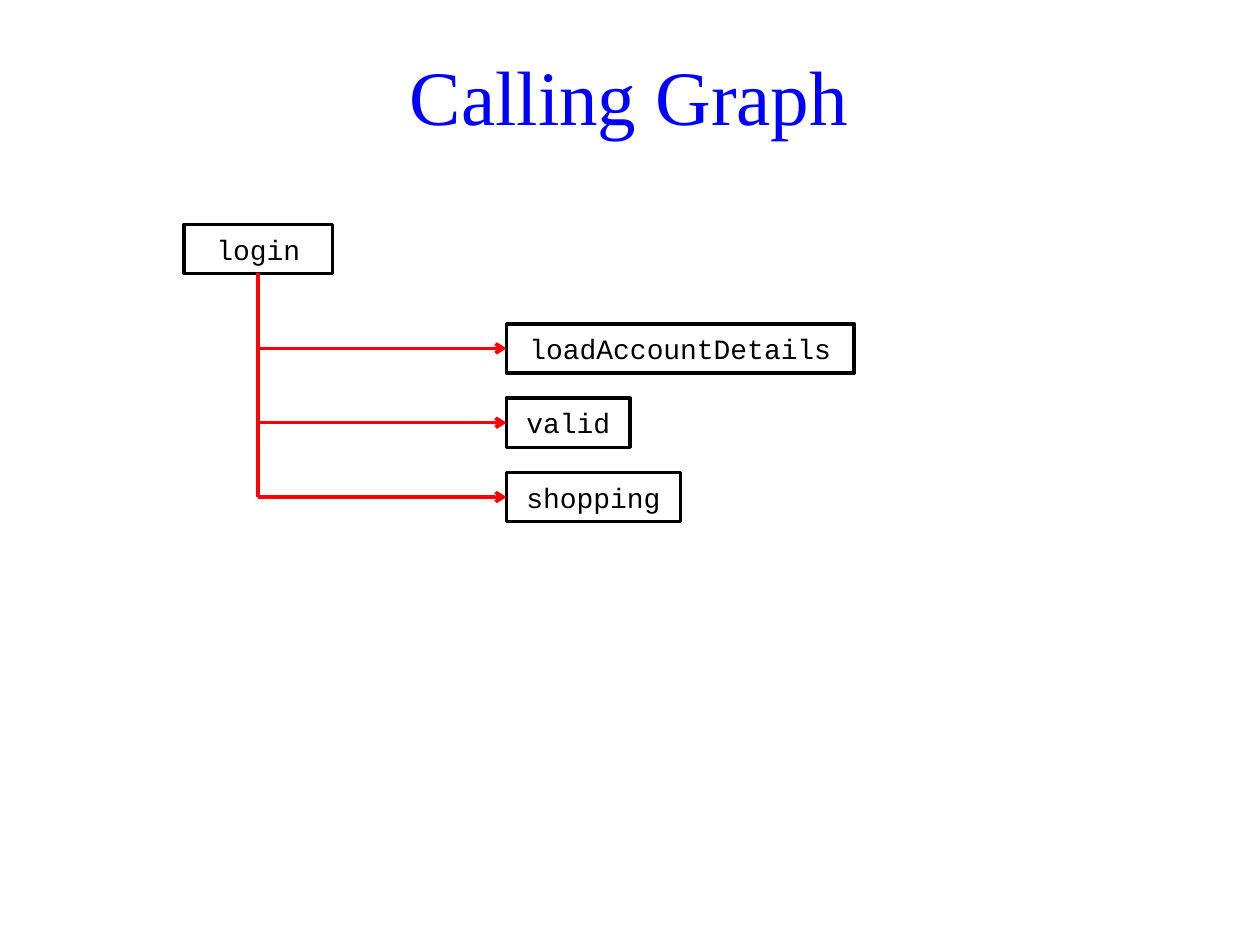
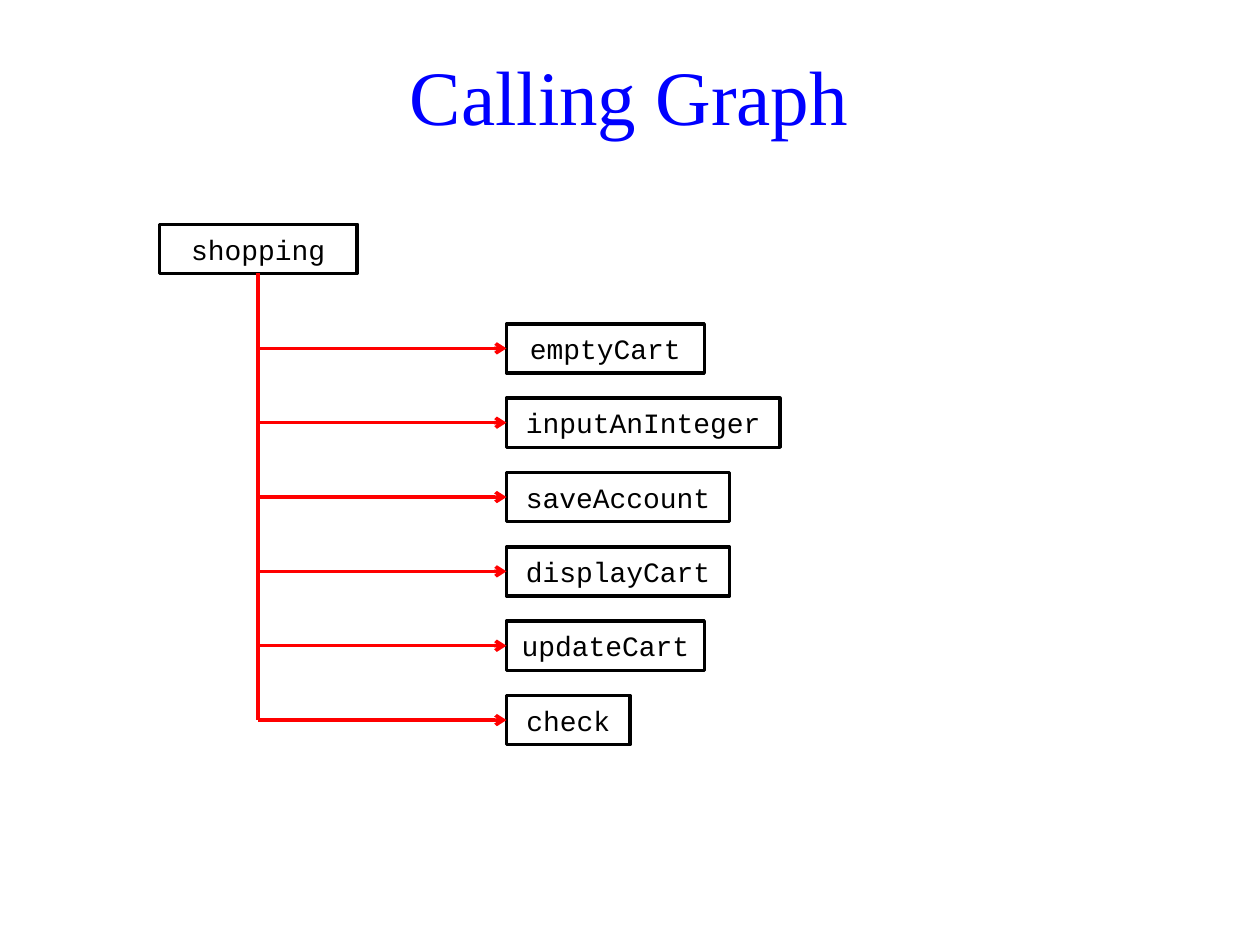
"""Build two calling-graph slides: a caller box and arrows to each function it calls."""
from dataclasses import dataclass

import pptx
import pptx.dml.color
import pptx.enum.shapes
import pptx.enum.text
import pptx.oxml
import pptx.oxml.ns
import pptx.util
from pptx.util import Inches


@dataclass(frozen=True)
class Theme:
    """Colours, fonts and type sizes shared by all slides."""
    title_color: str = "0000FF"
    box_color: str = "000000"
    arrow_color: str = "FF0000"
    background: str = "FFFFFF"
    title_font: str = "Times New Roman"
    code_font: str = "Courier New"
    title_size: float = 44
    code_size: float = 16
    line_width: float = 2


@dataclass(frozen=True)
class FunctionBox:
    """A function name and the width of its box in inches."""
    name: str
    width: float


@dataclass(frozen=True)
class CallingGraph:
    """A caller and the functions it calls, from top to bottom."""
    caller: FunctionBox
    callees: tuple[FunctionBox, ...]


THEME = Theme()
TITLE = "Calling Graph"
TRUNK_X = 2.05
CALLEE_LEFT = 4.02
CALLER_TOP = 1.78
FIRST_CALLEE_TOP = 2.57
ROW_STEP = 0.59
BOX_HEIGHT = 0.39

GRAPHS = (
    CallingGraph(FunctionBox("login", 1.18), (
        FunctionBox("loadAccountDetails", 2.76),
        FunctionBox("valid", 0.98),
        FunctionBox("shopping", 1.38),
    )),
    CallingGraph(FunctionBox("shopping", 1.57), (
        FunctionBox("emptyCart", 1.57),
        FunctionBox("inputAnInteger", 2.17),
        FunctionBox("saveAccount", 1.77),
        FunctionBox("displayCart", 1.77),
        FunctionBox("updateCart", 1.57),
        FunctionBox("check", 0.98),
    )),
)


def rgb(color: str) -> pptx.dml.color.RGBColor:
    """Turn a hex string into a colour."""
    return pptx.dml.color.RGBColor.from_string(color)


def format_text(frame, text: str, font: str, size: float, color: str):
    """Write one centred paragraph, vertically centred, and return it."""
    frame.text = text
    frame.vertical_anchor = pptx.enum.text.MSO_ANCHOR.MIDDLE
    para = frame.paragraphs[0]
    para.alignment = pptx.enum.text.PP_ALIGN.CENTER
    para.font.name = font
    para.font.size = pptx.util.Pt(size)
    para.font.color.rgb = rgb(color)
    return para


def set_title(page) -> None:
    """Place and format the slide title."""
    title = page.shapes.title
    title.left, title.top = Inches(0.27), Inches(0.21)
    title.width, title.height = Inches(9.45), Inches(1.18)
    para = format_text(title.text_frame, TITLE, THEME.title_font,
                       THEME.title_size, THEME.title_color)
    para.line_spacing = 0.9


def draw_box(page, function: FunctionBox, left: float, top: float) -> None:
    """Draw an outlined box holding a function name."""
    box = page.shapes.add_shape(
        pptx.enum.shapes.MSO_SHAPE.FLOWCHART_PROCESS, Inches(left), Inches(top),
        Inches(function.width), Inches(BOX_HEIGHT))
    box.shadow.inherit = False
    box.fill.background()
    box.line.color.rgb = rgb(THEME.box_color)
    box.line.width = pptx.util.Pt(THEME.line_width)
    frame = box.text_frame
    frame.margin_left = frame.margin_right = Inches(0.08)
    frame.margin_top = frame.margin_bottom = Inches(0.05)
    format_text(frame, function.name, THEME.code_font, THEME.code_size, THEME.box_color)


def draw_line(page, start: tuple[float, float], end: tuple[float, float],
              arrow: bool = False) -> None:
    """Draw a straight line, with an open arrowhead at its end if asked."""
    line = page.shapes.add_connector(
        pptx.enum.shapes.MSO_CONNECTOR.STRAIGHT, *map(Inches, start + end))
    line.line.color.rgb = rgb(THEME.arrow_color)
    line.line.width = pptx.util.Pt(THEME.line_width)
    properties = line._element.spPr
    if arrow:
        head = pptx.oxml.parse_xml(
            f'<a:tailEnd {pptx.oxml.ns.nsdecls("a")} type="arrow"/>')
        line.line._get_or_add_ln().append(head)
    properties.append(pptx.oxml.parse_xml(
        f'<a:effectLst {pptx.oxml.ns.nsdecls("a")}/>'))


def draw_graph(page, graph: CallingGraph) -> None:
    """Draw the caller, the trunk below it and an arrow to each callee."""
    draw_box(page, graph.caller, TRUNK_X - graph.caller.width / 2, CALLER_TOP)
    tops = [FIRST_CALLEE_TOP + row * ROW_STEP for row in range(len(graph.callees))]
    draw_line(page, (TRUNK_X, CALLER_TOP + BOX_HEIGHT),
              (TRUNK_X, tops[-1] + BOX_HEIGHT / 2))
    for function, top in zip(graph.callees, tops):
        middle = top + BOX_HEIGHT / 2
        draw_box(page, function, CALLEE_LEFT, top)
        draw_line(page, (TRUNK_X, middle), (CALLEE_LEFT, middle), arrow=True)


def main() -> None:
    """Build and save the deck."""
    deck = pptx.Presentation()
    deck.slide_width, deck.slide_height = Inches(10), Inches(7.5)
    title_only = deck.slide_layouts.get_by_name("Title Only")
    for graph in GRAPHS:
        page = deck.slides.add_slide(title_only)
        page.background.fill.solid()
        page.background.fill.fore_color.rgb = rgb(THEME.background)
        set_title(page)
        draw_graph(page, graph)
    deck.save("out.pptx")


main()
